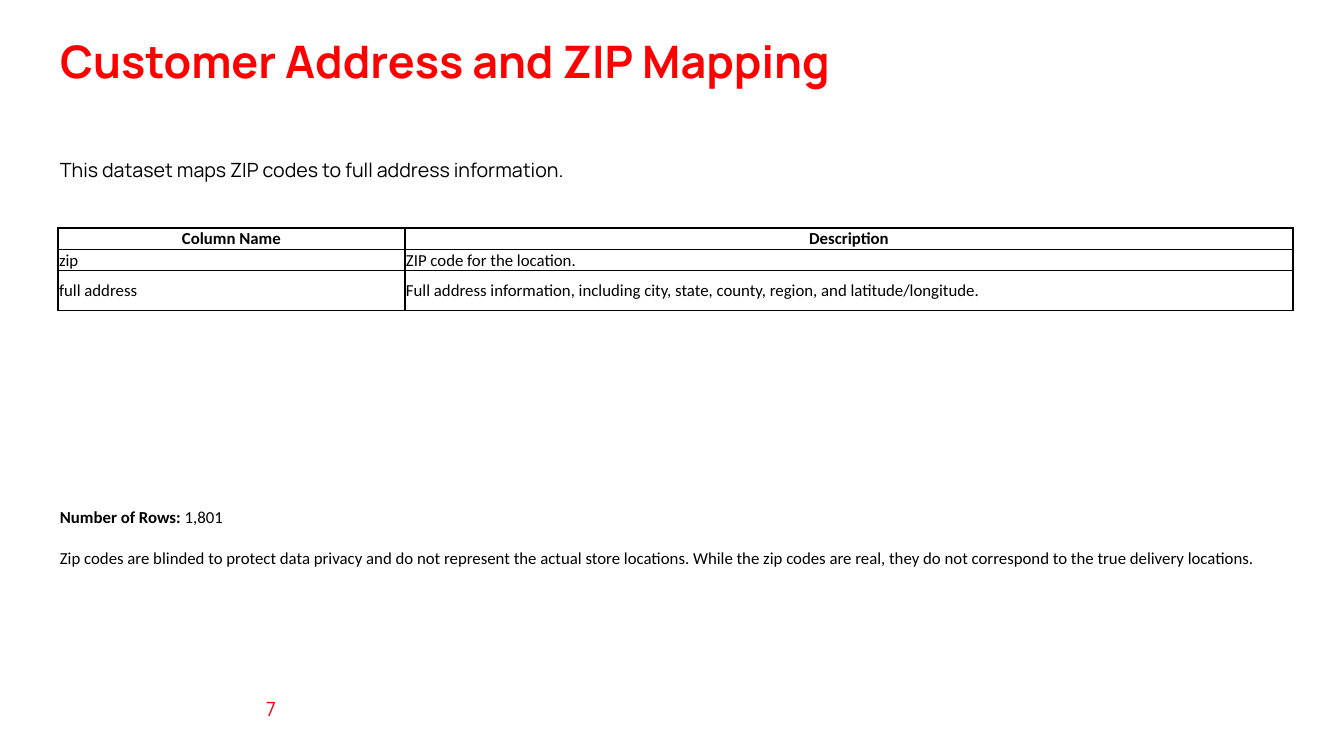
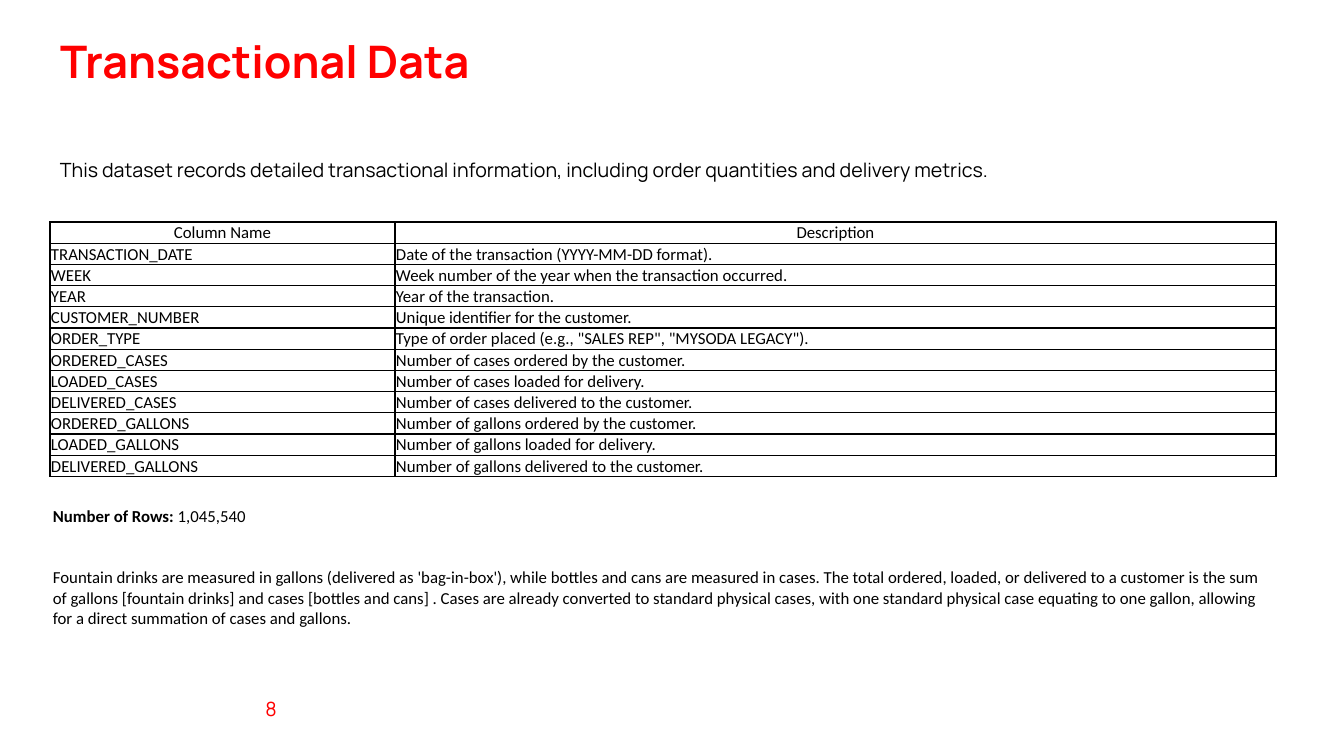
import pptx
import pptx.dml.color
import pptx.enum.text
import pptx.oxml
import pptx.oxml.ns
import pptx.util

RED = pptx.dml.color.RGBColor(0xFF, 0x00, 0x00)
BLACK = pptx.dml.color.RGBColor(0x00, 0x00, 0x00)
HEADING_FONT = "Manrope"
TEXT_FONT = "Calibri"
PX = 914400 / 100.8
LINE_PT = 14.65
ROW_HEIGHT = 20
ALIGN = pptx.enum.text.PP_ALIGN
ANCHOR = pptx.enum.text.MSO_ANCHOR
AUTO_SIZE = pptx.enum.text.MSO_AUTO_SIZE


def px(length):
    return pptx.util.Emu(round(length * PX))


class DataDeck:
    def __init__(self):
        self.deck = pptx.Presentation()
        self.deck.slide_width = px(1344)
        self.deck.slide_height = px(756)
        self.page = None

    def start_page(self, title, summary, number):
        self.page = self.deck.slides.add_slide(self.deck.slide_layouts[5])
        self.title(title)
        self.summary(summary)
        self.page_number(number)

    def style(self, para, size, font, color=BLACK, bold=False, align=ALIGN.LEFT):
        para.alignment = align
        for span in para.runs:
            span.font.size = pptx.util.Pt(size)
            span.font.name = font
            span.font.color.rgb = color
            span.font.bold = bold

    def text_box(self, left, top, width, height):
        box = self.page.shapes.add_textbox(px(left), px(top), px(width), px(height))
        box.text_frame.word_wrap = True
        return box.text_frame

    def title(self, text):
        box = self.page.shapes.title
        box.left, box.top, box.width, box.height = px(50), px(35), px(1159), px(74)
        frame = box.text_frame
        frame.text = text
        frame.vertical_anchor = ANCHOR.TOP
        frame.auto_size = AUTO_SIZE.NONE
        para = frame.paragraphs[0]
        para.line_spacing = 0.9
        self.style(para, 32, HEADING_FONT, RED, True)

    def summary(self, text):
        frame = self.text_box(50, 156, 1264, 40)
        frame.text = text
        para = frame.paragraphs[0]
        para.line_spacing = 0.9
        self.style(para, 14, HEADING_FONT)

    def page_number(self, number):
        frame = self.text_box(120, 689, 302, 40)
        frame.text = str(number)
        frame.vertical_anchor = ANCHOR.MIDDLE
        self.style(frame.paragraphs[0], 14, HEADING_FONT, RED, align=ALIGN.CENTER)

    def border(self, cell):
        properties = cell._tc.get_or_add_tcPr()
        for index, side in enumerate(("lnL", "lnR", "lnT", "lnB")):
            line = pptx.oxml.parse_xml(
                f'<a:{side} {pptx.oxml.ns.nsdecls("a")} w="12700"><a:solidFill>'
                f'<a:srgbClr val="{BLACK}"/></a:solidFill></a:{side}>'
            )
            properties.insert(index, line)

    def column_table(self, left, top, widths, fields, bold_header=False, tall_rows=()):
        rows = [("Column Name", "Description"), *fields]
        heights = [ROW_HEIGHT * (2 if index in tall_rows else 1) for index in range(len(rows))]
        table = self.page.shapes.add_table(
            len(rows), len(widths), px(left), px(top), px(sum(widths)), px(sum(heights))
        ).table
        table.first_row = False
        table.horz_banding = False
        for column, width in zip(table.columns, widths):
            column.width = px(width)
        for index, (row, height, texts) in enumerate(zip(table.rows, heights, rows)):
            row.height = px(height)
            header = index == 0
            for cell, text in zip(row.cells, texts):
                cell.text = text
                cell.vertical_anchor = ANCHOR.MIDDLE
                cell.margin_left = cell.margin_right = cell.margin_top = px(1)
                cell.margin_bottom = 0
                cell.fill.background()
                self.border(cell)
                self.style(
                    cell.text_frame.paragraphs[0], 12, TEXT_FONT,
                    bold=header and bold_header,
                    align=ALIGN.CENTER if header else ALIGN.LEFT,
                )

    def notes(self, left, top, height, row_count, remark, gap_lines):
        frame = self.text_box(left, top, 1233, height)
        frame.auto_size = AUTO_SIZE.SHAPE_TO_FIT_TEXT
        count = frame.paragraphs[0]
        for text in ("Number of Rows: ", row_count):
            count.add_run().text = text
        self.style(count, 12, TEXT_FONT)
        count.runs[0].font.bold = True
        para = frame.add_paragraph()
        para.text = remark
        para.space_before = pptx.util.Pt(gap_lines * LINE_PT)
        self.style(para, 12, TEXT_FONT)


def main():
    data = DataDeck()

    data.start_page(
        "Customer Address and ZIP Mapping",
        "This dataset maps ZIP codes to full address information.",
        7,
    )
    data.column_table(
        58, 228, (347, 888),
        [
            ("zip", "ZIP code for the location."),
            ("full address", "Full address information, including city, state, county, region, "
             "and latitude/longitude."),
        ],
        bold_header=True,
        tall_rows=(2,),
    )
    data.notes(
        50, 502, 72, "1,801",
        "Zip codes are blinded to protect data privacy and do not represent the actual store "
        "locations. While the zip codes are real, they do not correspond to the true delivery "
        "locations.",
        1,
    )

    data.start_page(
        "Transactional Data",
        "This dataset records detailed transactional information, including order quantities "
        "and delivery metrics.",
        8,
    )
    fields = [
        ("TRANSACTION_DATE", "Date of the transaction (YYYY-MM-DD format)."),
        ("WEEK", "Week number of the year when the transaction occurred."),
        ("YEAR", "Year of the transaction."),
        ("CUSTOMER_NUMBER", "Unique identifier for the customer."),
        ("ORDER_TYPE", 'Type of order placed (e.g., "SALES REP", "MYSODA LEGACY").'),
    ]
    for unit in ("cases", "gallons"):
        for action, ending in (
            ("ordered", "by the customer"),
            ("loaded", "for delivery"),
            ("delivered", "to the customer"),
        ):
            fields.append((f"{action}_{unit}".upper(), f"Number of {unit} {action} {ending}."))
    data.column_table(50, 222, (345, 881), fields)
    data.notes(
        43, 501, 132, "1,045,540",
        "Fountain drinks are measured in gallons (delivered as 'bag-in-box'), while bottles and "
        "cans are measured in cases. The total ordered, loaded, or delivered to a customer is the "
        "sum of gallons [fountain drinks] and cases [bottles and cans] . Cases are already "
        "converted to standard physical cases, with one standard physical case equating to one "
        "gallon, allowing for a direct summation of cases and gallons.",
        2,
    )

    data.deck.save("out.pptx")


if __name__ == "__main__":
    main()
